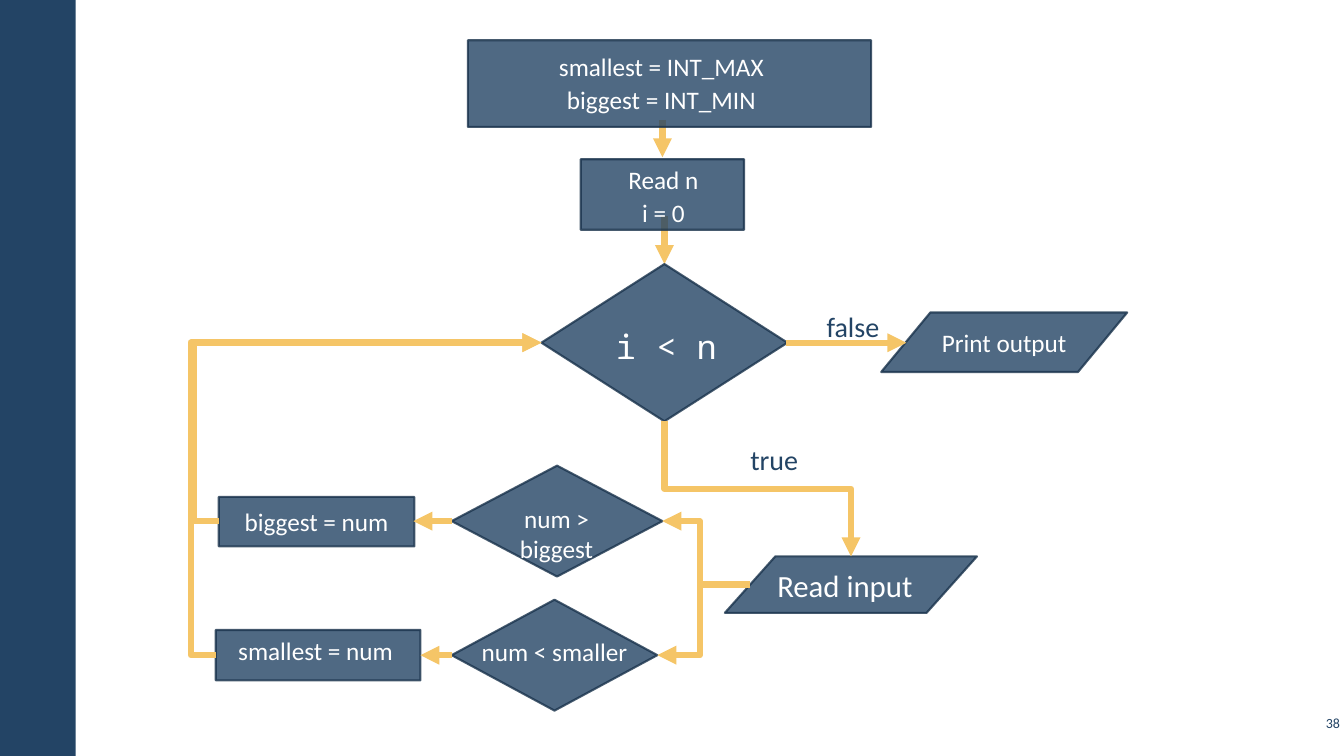
from pptx import Presentation
from pptx.dml.color import RGBColor
from pptx.enum.shapes import MSO_CONNECTOR, MSO_SHAPE
from pptx.enum.text import MSO_ANCHOR, PP_ALIGN
from pptx.oxml.ns import qn
from pptx.util import Inches, Pt
from lxml import etree

PROCESS = MSO_SHAPE.FLOWCHART_PROCESS
DECISION = MSO_SHAPE.FLOWCHART_DECISION
DATA = MSO_SHAPE.FLOWCHART_DATA
RECTANGLE = MSO_SHAPE.RECTANGLE
STRAIGHT = MSO_CONNECTOR.STRAIGHT
ELBOW = MSO_CONNECTOR.ELBOW
MIDDLE = MSO_ANCHOR.MIDDLE
CENTER = PP_ALIGN.CENTER
RIGHT = PP_ALIGN.RIGHT

NAVY = RGBColor.from_string("234465")
WHITE = RGBColor.from_string("FFFFFF")
THEME = {
    "fill": NAVY,
    "outline": RGBColor.from_string("1A334C"),
    "outline_width": Pt(1.5),
    "opacity": 80,
    "arrow": RGBColor.from_string("F5C567"),
    "arrow_width": Pt(4.5),
    "step": {"name": "Calibri", "size": Pt(18), "color": WHITE},
    "input": {"name": "Calibri", "size": Pt(22), "color": WHITE},
    "code": {"name": "Noto Sans Mono", "size": Pt(24), "color": WHITE},
    "branch": {"name": "Calibri", "size": Pt(20), "color": NAVY},
    "page": {"name": "Calibri", "size": Pt(10), "color": NAVY},
}

NODES = [
    (RECTANGLE, (4.64, 0.4, 4, 0.86), ""),
    (RECTANGLE, (5.76, 1.58, 1.62, 0.7), ""),
    (DECISION, (5.37, 2.62, 2.44, 1.56), ""),
    (DATA, (8.74, 3.1, 2.44, 0.59), "Print output"),
    (DATA, (7.19, 5.52, 2.5, 0.56), ""),
    (DECISION, (4.48, 4.62, 2.09, 1.1), ""),
    (DECISION, (4.48, 5.95, 2.04, 1.1), ""),
    (PROCESS, (2.17, 4.93, 1.94, 0.49), "biggest = num"),
    (PROCESS, (2.14, 6.25, 2.03, 0.5), ""),
]

LABELS = [
    (["smallest = INT_MAX", "biggest = INT_MIN"], 6.56, 0.43, 3, "step", 1.1),
    (["Read n", "i = 0"], 6.58, 1.55, 1.6, "step", 1.1),
    (["i < n"], 6.61, 3.18, 2.3, "code", 1),
    (["Read input"], 8.38, 5.57, 1.8, "input", 1),
    (["num > biggest"], 5.52, 4.94, 1.1, "step", 1),
    (["num < smaller"], 5.5, 6.26, 1.9, "step", 1),
    (["smallest = num"], 3.13, 6.25, 1.9, "step", 1),
    (["false"], 8.46, 2.99, 1, "branch", 1.1),
    (["true"], 7.68, 4.31, 1, "branch", 1.1),
]

START_ARROWS = [((6.57, 1.19), (6.57, 1.56)), ((6.59, 2.14), (6.59, 2.62))]
STRAIGHT_ARROWS = [
    ((4.48, 5.17), (4.1, 5.17)),
    ((4.48, 6.5), (4.17, 6.5)),
    ((7.8, 3.4), (8.99, 3.4)),
]
SIDE_ARROWS = [
    ((7.44, 5.8), (6.52, 6.5), 6.94),
    ((7.44, 5.8), (6.57, 5.17), 6.94),
    ((2.17, 5.17), (5.37, 3.4), 1.92),
    ((2.14, 6.5), (5.37, 3.4), 1.89),
]
TRUE_ARROW = ((6.59, 4.18), (8.44, 5.52))


def set_font(font, style):
    for key, value in THEME[style].items():
        if key == "color":
            font.color.rgb = value
        else:
            setattr(font, key, value)


def write(frame, lines, style, align=CENTER, spacing=1):
    frame.word_wrap = True
    for index, line in enumerate(lines):
        paragraph = frame.paragraphs[0] if index == 0 else frame.add_paragraph()
        paragraph.text = line
        paragraph.alignment = align
        paragraph.line_spacing = spacing
        set_font(paragraph.runs[0].font, style)


def add_node(slide, kind, box, text):
    node = slide.shapes.add_shape(kind, *map(Inches, box))
    node.shadow.inherit = False
    node.fill.solid()
    node.fill.fore_color.rgb = THEME["fill"]
    node.line.color.rgb = THEME["outline"]
    node.line.width = THEME["outline_width"]
    for color in node._element.spPr.iter(qn("a:srgbClr")):
        etree.SubElement(color, qn("a:alpha"), val=str(THEME["opacity"] * 1000))
    if text:
        node.text_frame.vertical_anchor = MIDDLE
        write(node.text_frame, [text], "step")


def add_label(slide, lines, center, top, width, style, spacing):
    box = (center - width / 2, top, width, 0.4 * len(lines))
    label = slide.shapes.add_textbox(*map(Inches, box))
    write(label.text_frame, lines, style, spacing=spacing)


def add_arrow(slide, kind, start, end):
    arrow = slide.shapes.add_connector(kind, *map(Inches, start + end))
    arrow.line.color.rgb = THEME["arrow"]
    arrow.line.width = THEME["arrow_width"]
    properties = arrow._element.spPr
    etree.SubElement(properties.find(qn("a:ln")), qn("a:tailEnd"), type="triangle")
    etree.SubElement(properties, qn("a:effectLst"))
    return properties


def add_side_arrow(slide, start, end, bend):
    properties = add_arrow(slide, ELBOW, start, end)
    share = round((bend - start[0]) / (end[0] - start[0]) * 100000)
    adjustments = properties.find(qn("a:prstGeom")).find(qn("a:avLst"))
    etree.SubElement(adjustments, qn("a:gd"), name="adj1", fmla=f"val {share}")


def add_down_arrow(slide, start, end):
    (x1, y1), (x2, y2) = start, end
    center_x, center_y = (x1 + x2) / 2, (y1 + y2) / 2
    half_w, half_h = (x2 - x1) / 2, (y2 - y1) / 2
    properties = add_arrow(
        slide, ELBOW,
        (center_x + half_h, center_y - half_w),
        (center_x - half_h, center_y + half_w),
    )
    properties.find(qn("a:xfrm")).set("rot", str(270 * 60000))


def main():
    deck = Presentation()
    deck.slide_width, deck.slide_height = Inches(13.33), Inches(7.5)
    slide = deck.slides.add_slide(deck.slide_layouts[6])

    sidebar = slide.shapes.add_shape(RECTANGLE, 0, 0, Inches(0.75), deck.slide_height)
    sidebar.shadow.inherit = False
    sidebar.fill.solid()
    sidebar.fill.fore_color.rgb = THEME["fill"]
    sidebar.line.fill.background()

    for start, end in START_ARROWS:
        add_arrow(slide, STRAIGHT, start, end)
    for node in NODES:
        add_node(slide, *node)
    for start, end in STRAIGHT_ARROWS:
        add_arrow(slide, STRAIGHT, start, end)
    for side_arrow in SIDE_ARROWS:
        add_side_arrow(slide, *side_arrow)
    add_down_arrow(slide, *TRUE_ARROW)
    for label in LABELS:
        add_label(slide, *label)

    page = slide.shapes.add_textbox(*map(Inches, (12.86, 7, 0.47, 0.34)))
    for side in ("left", "top", "right", "bottom"):
        setattr(page.text_frame, f"margin_{side}", Inches(0.04))
    page.text_frame.vertical_anchor = MIDDLE
    write(page.text_frame, ["38"], "page", RIGHT)

    deck.save("out.pptx")


if __name__ == "__main__":
    main()
